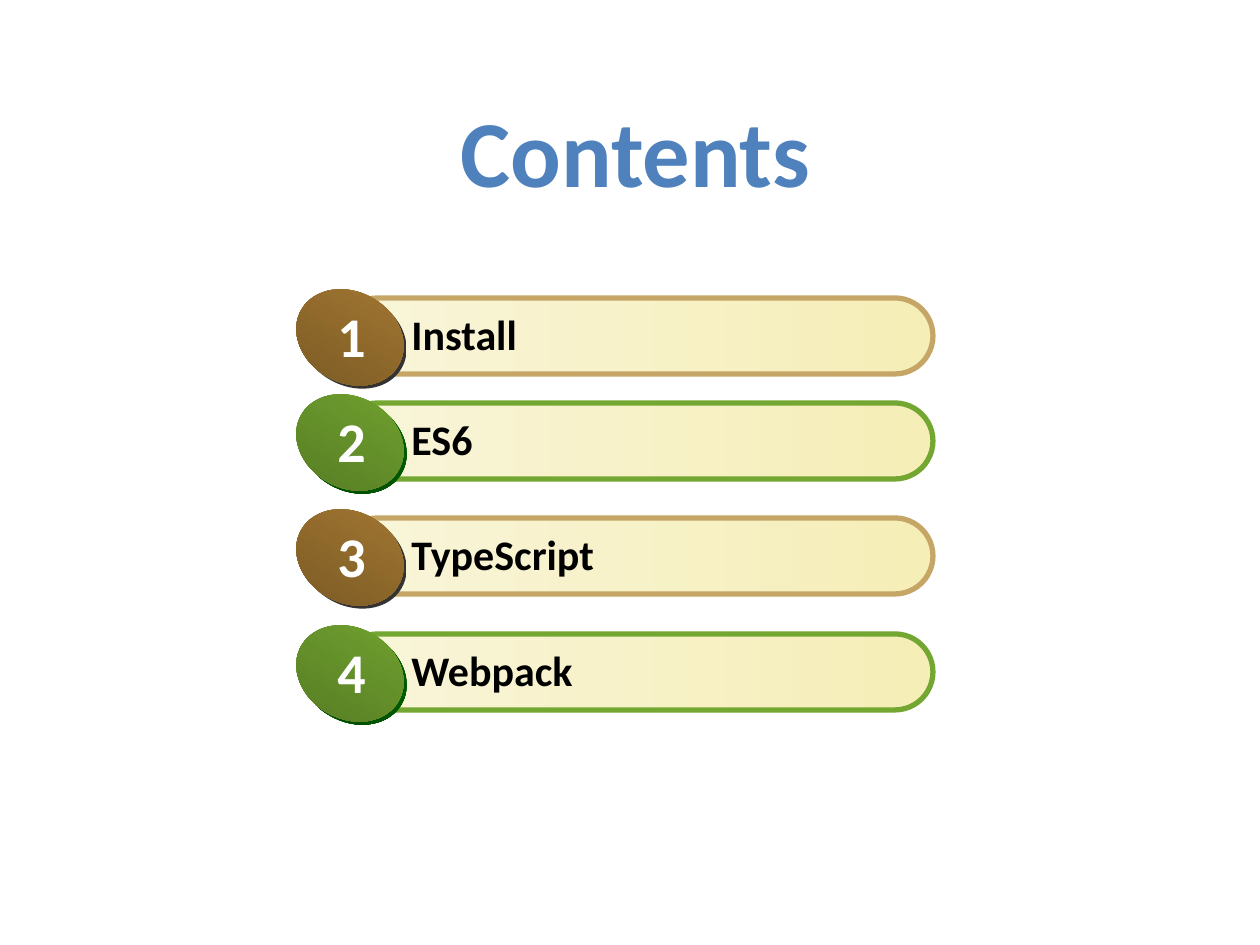
"""Build a contents slide with four numbered, rounded bars."""
import pptx
import pptx.dml.color
import pptx.enum.shapes
import pptx.enum.text
import pptx.util

PX = 7257
SHAPES = pptx.enum.shapes.MSO_SHAPE
ANCHOR = pptx.enum.text.MSO_ANCHOR
ALIGN = pptx.enum.text.PP_ALIGN
AUTO_SIZE = pptx.enum.text.MSO_AUTO_SIZE
BROWN = ("C5A667", ("333333", "333333"), ("A67A32", "775724"))
GREEN = ("74A731", ("006600", "004900"), ("74A731", "537723"))
ITEMS = [
    ("Install", 298, BROWN),
    ("ES6", 403, GREEN),
    ("TypeScript", 518, BROWN),
    ("Webpack", 634, GREEN),
]


def rgb(value):
    return pptx.dml.color.RGBColor.from_string(value)


def write(frame, text, size, color):
    frame.text = text
    paragraph = frame.paragraphs[0]
    paragraph.font.name = "Calibri"
    paragraph.font.size = pptx.util.Pt(size)
    paragraph.font.bold = True
    paragraph.font.color.rgb = rgb(color)
    return paragraph


presentation = pptx.Presentation()
presentation.slide_width = pptx.util.Inches(10)
presentation.slide_height = pptx.util.Inches(7.5)
slide = presentation.slides.add_slide(presentation.slide_layouts[5])

title = slide.shapes.title
title.left, title.top, title.width, title.height = [n * PX for n in (373, 84, 525, 132)]
title.text_frame.vertical_anchor = ANCHOR.MIDDLE
write(title.text_frame, "Contents", 54, "4F81BD").alignment = ALIGN.CENTER

for number, (label, top, (outline, shade, face)) in enumerate(ITEMS, start=1):
    group = slide.shapes.add_group_shape()

    bar = group.shapes.add_shape(
        SHAPES.ROUNDED_RECTANGLE, 340 * PX, top * PX, 593 * PX, 76 * PX)
    bar.adjustments[0] = 0.5
    bar.line.color.rgb = rgb(outline)
    bar.line.width = pptx.util.Pt(3)

    label_box = group.shapes.add_textbox(399 * PX, (top + 4) * PX, 473 * PX, 63 * PX)
    label_box.text_frame.word_wrap = True
    label_box.text_frame.auto_size = AUTO_SIZE.SHAPE_TO_FIT_TEXT
    write(label_box.text_frame, label, 24, "000000")

    fills = [(bar, ("F9F5D9", "F5EEB7"), 0)]
    for left, rise, colors in ((297, 3, shade), (294, 6, face)):
        badge = group.shapes.add_shape(
            SHAPES.OVAL, left * PX, (top - rise) * PX, 112 * PX, 91 * PX)
        badge.rotation = 29.3
        badge.line.fill.background()
        fills.append((badge, colors, 270))

    for shape, colors, angle in fills:
        shape.shadow.inherit = False
        shape.fill.gradient()
        shape.fill.gradient_angle = angle
        for stop, color in zip(shape.fill.gradient_stops, colors):
            stop.color.rgb = rgb(color)

    number_box = group.shapes.add_textbox(325 * PX, (top - 3) * PX, 57 * PX, 79 * PX)
    number_box.text_frame.word_wrap = False
    number_box.text_frame.auto_size = AUTO_SIZE.SHAPE_TO_FIT_TEXT
    write(number_box.text_frame, str(number), 32, "FFFFFF")

presentation.save("out.pptx")
